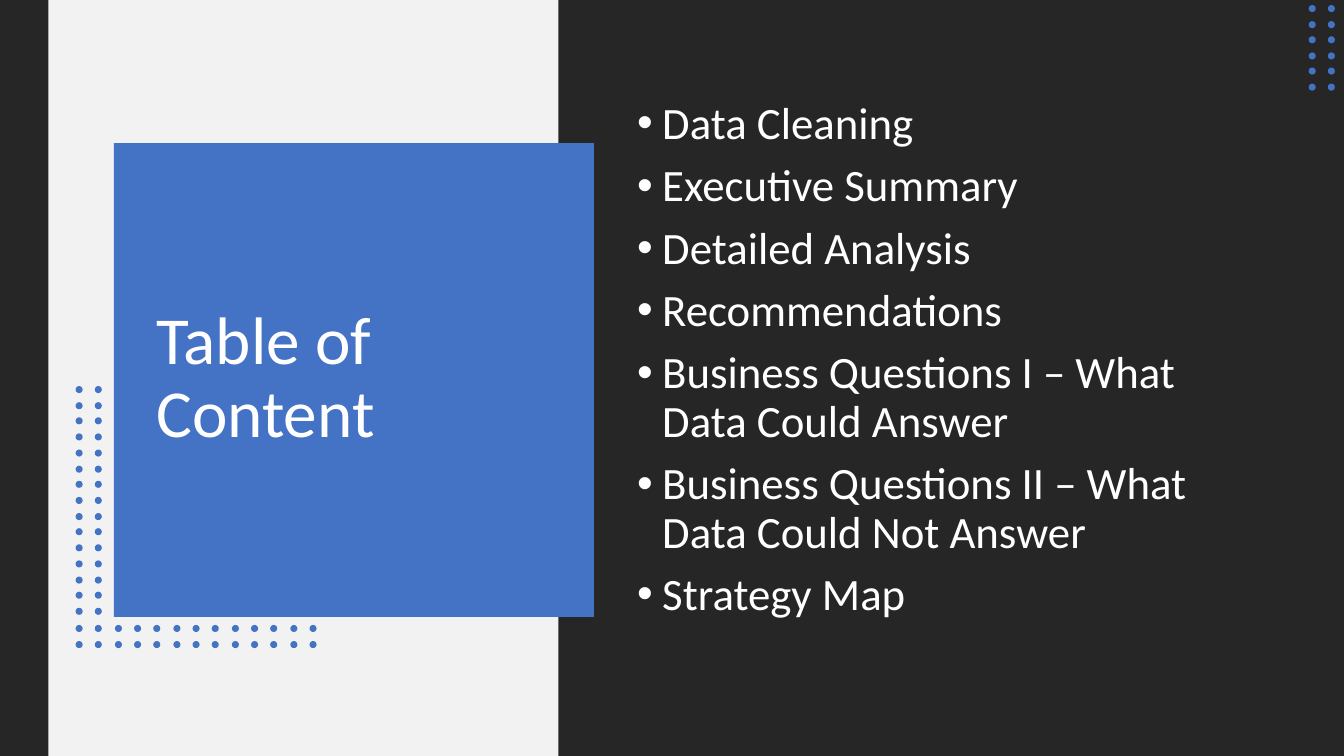
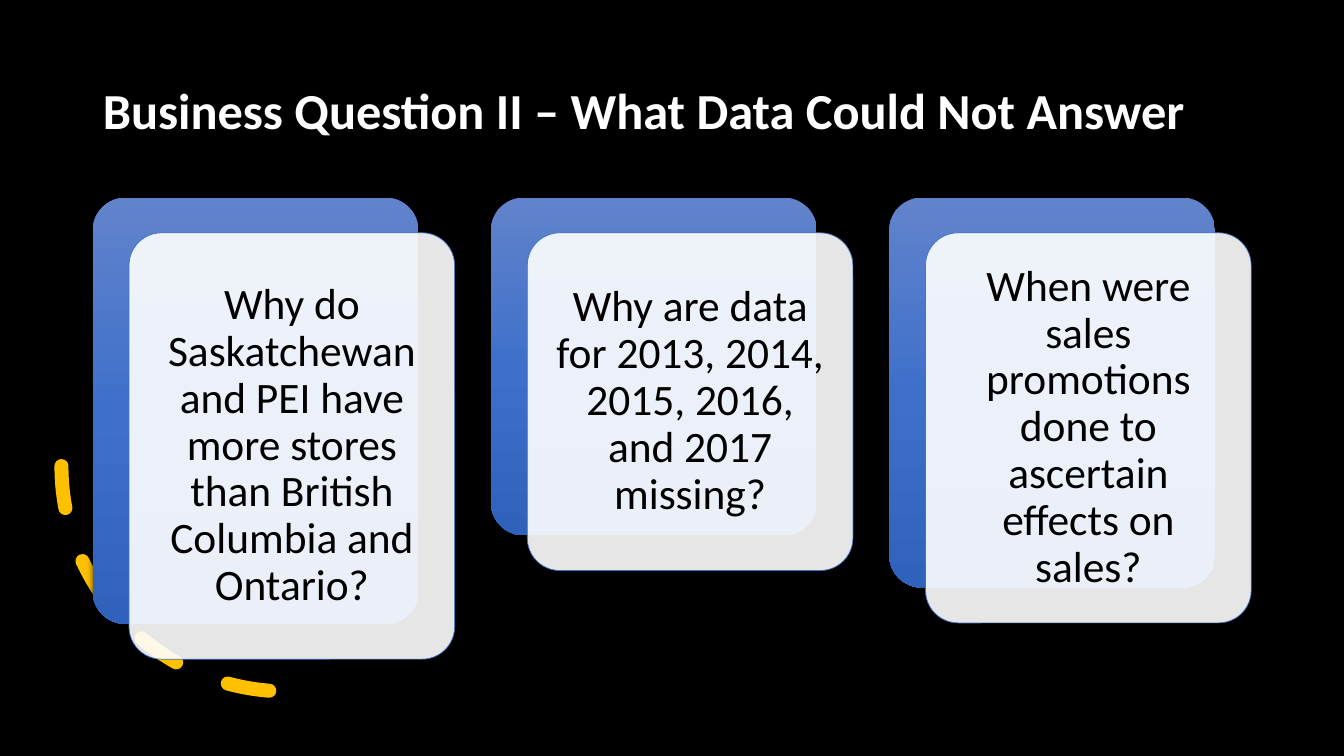
"""Build a table of contents slide and a slide of open business questions."""
from copy import deepcopy

from lxml import etree
from pptx import Presentation
from pptx.dml.color import RGBColor
from pptx.enum.dml import MSO_LINE
from pptx.enum.shapes import MSO_SHAPE
from pptx.enum.text import MSO_ANCHOR, MSO_AUTO_SIZE, PP_ALIGN
from pptx.oxml.ns import qn
from pptx.util import Emu, Pt

RECTANGLE, ROUNDED = MSO_SHAPE.RECTANGLE, MSO_SHAPE.ROUNDED_RECTANGLE
OVAL, ARC = MSO_SHAPE.OVAL, MSO_SHAPE.ARC
MIDDLE, NO_FIT = MSO_ANCHOR.MIDDLE, MSO_AUTO_SIZE.NONE
LEFT, CENTER = PP_ALIGN.LEFT, PP_ALIGN.CENTER
DASH = MSO_LINE.DASH

PX = 9144
PAGE_WIDTH, PAGE_HEIGHT = 1333, 750
TITLE_ONLY = 5
FONT = "Calibri"
WHITE, BLACK, CHARCOAL, PALE = "FFFFFF", "000000", "262626", "F2F2F2"
BLUE, AMBER = "4472C4", "FFC000"
CARD_GRADIENT = ((0, "6183CB"), (0.5, "3E70CA"), (1, "3062BB"))

FRAME_FORMAT = {"word_wrap": True, "auto_size": NO_FIT, "vertical_anchor": MIDDLE}
CARD_MARGINS = dict.fromkeys(
    ("margin_left", "margin_top", "margin_right", "margin_bottom"), Emu(13 * PX))

CONTENTS = (
    "Data Cleaning",
    "Executive Summary",
    "Detailed Analysis",
    "Recommendations",
    "Business Questions I – What Data Could Answer",
    "Business Questions II – What Data Could Not Answer",
    "Strategy Map",
)
QUESTIONS = (
    ("Why do Saskatchewan and PEI have more stores than British Columbia and Ontario?", 423),
    ("Why are data for 2013, 2014, 2015, 2016, and 2017 missing?", 335),
    ("When were sales promotions done to ascertain effects on sales?", 387),
)


def color(value):
    """Turn a hex string into a colour."""
    return RGBColor.from_string(value)


def scaled(box):
    """Turn a box in px into EMU lengths."""
    return [Emu(length * PX) for length in box]


def apply_format(target, values):
    """Set each named attribute on the target."""
    for name, value in values.items():
        setattr(target, name, value)


def add_child(parent, tag, **attributes):
    """Append an XML element with the given attributes."""
    child = etree.SubElement(parent, qn(tag))
    for name, value in attributes.items():
        child.set(name, str(value))
    return child


def add_plain_shape(shapes, kind, box, fill=None):
    """Add a preset shape with no shadow, no line and an optional solid fill."""
    shape = shapes.add_shape(kind, *scaled(box))
    shape.shadow.inherit = False
    shape.line.fill.background()
    if fill:
        shape.fill.solid()
        shape.fill.fore_color.rgb = color(fill)
    else:
        shape.fill.background()
    return shape


def write_text(frame, texts, size, ink, bold=False, frame_format=None, para_format=None):
    """Write one formatted paragraph for each text."""
    apply_format(frame, {**FRAME_FORMAT, **(frame_format or {})})
    for index, text in enumerate(texts):
        para = frame.add_paragraph() if index else frame.paragraphs[0]
        apply_format(para, {"line_spacing": 0.9, "alignment": LEFT, **(para_format or {})})
        span = para.add_run()
        span.text = text
        apply_format(span.font, {"name": FONT, "size": Pt(size), "bold": bold})
        span.font.color.rgb = color(ink)


def add_page(deck, background):
    """Add a title-only slide with a solid background."""
    page = deck.slides.add_slide(deck.slide_layouts[TITLE_ONLY])
    page.background.fill.solid()
    page.background.fill.fore_color.rgb = color(background)
    return page


def place_title(page, box, text, size, bold=False):
    """Move the title placeholder above the shapes so far and fill it."""
    title = page.shapes.title
    names = ("left", "top", "width", "height")
    apply_format(title, dict(zip(names, scaled(box))))
    write_text(title.text_frame, [text], size, WHITE, bold)
    page.shapes.element.append(title.element)


def add_dots(page, box, columns, rows):
    """Spread a grid of dots evenly over the box."""
    left, top, width, height = box
    diameter = 7
    column_step = (width - diameter) / (columns - 1)
    row_step = (height - diameter) / (rows - 1)
    group = page.shapes.add_group_shape()
    for row in range(rows):
        for column in range(columns):
            spot = (round(left + column * column_step), round(top + row * row_step),
                    diameter, diameter)
            add_plain_shape(group.shapes, OVAL, spot, BLUE)


def add_bullets(page, box, texts):
    """Add a bulleted list in the box."""
    frame = page.shapes.add_textbox(*scaled(box)).text_frame
    write_text(frame, texts, 32, WHITE, para_format={"space_before": Pt(10)})
    for para in frame.paragraphs:
        properties = para._p.get_or_add_pPr()
        properties.set("marL", str(25 * PX))
        properties.set("indent", str(-25 * PX))
        add_child(properties, "a:buFont", typeface="Arial")
        add_child(properties, "a:buChar", char="•")


def add_dashed_arc(page, box):
    """Add a dashed quarter circle along the lower left of the box."""
    arc = add_plain_shape(page.shapes, ARC, box)
    arc.rotation = 90
    arc.element.spPr.find(qn("a:xfrm")).set("flipV", "1")
    arc.line.color.rgb = color(AMBER)
    apply_format(arc.line, {"width": Pt(10), "dash_style": DASH})
    arc.element.spPr.find(qn("a:ln")).set("cap", "rnd")


def add_card_back(page, box):
    """Add the shaded blue back of a card."""
    back = add_plain_shape(page.shapes, ROUNDED, box)
    back.adjustments[0] = 0.1
    back.fill.gradient()
    back.fill.gradient_angle = 270
    stops = back.element.spPr.find(".//" + qn("a:gsLst"))
    stops.insert(1, deepcopy(stops[0]))
    for stop, (position, value) in zip(back.fill.gradient_stops, CARD_GRADIENT):
        stop.position = position
        stop.color.rgb = color(value)
    effects = back.element.spPr.find(qn("a:effectLst"))
    shadow = add_child(effects, "a:outerShdw", blurRad=Pt(4.5), dist=Pt(1.5),
                       dir=5400000, algn="ctr", rotWithShape=0)
    shade = add_child(shadow, "a:srgbClr", val=BLACK)
    add_child(shade, "a:alpha", val=63000)


def add_card(page, box, text):
    """Add a translucent text panel offset from its blue back."""
    left, top, width, height = box
    add_card_back(page, box)
    panel = add_plain_shape(page.shapes, ROUNDED, (left + 36, top + 35, width, height), WHITE)
    panel.adjustments[0] = 0.1
    panel.line.color.rgb = color(BLUE)
    panel.line.width = Pt(0.5)
    tint = panel.element.spPr.find(qn("a:solidFill")).find(qn("a:srgbClr"))
    add_child(tint, "a:alpha", val=90000)
    write_text(panel.text_frame, [text], 31, BLACK,
               frame_format=CARD_MARGINS, para_format={"alignment": CENTER})


def add_cards(page, box, gap):
    """Set the question cards side by side in the box."""
    left, top, width = box
    card_width = (width - gap * (len(QUESTIONS) - 1)) // len(QUESTIONS)
    for index, (text, height) in enumerate(QUESTIONS):
        add_card(page, (left + index * (card_width + gap), top, card_width, height), text)


def build_contents(deck):
    """Build the table of contents slide."""
    page = add_page(deck, CHARCOAL)
    add_plain_shape(page.shapes, RECTANGLE, (48, 0, 506, PAGE_HEIGHT), PALE)
    add_plain_shape(page.shapes, RECTANGLE, (113, 142, 476, 470), BLUE)
    place_title(page, (145, 174, 410, 405), "Table of Content", 48)
    add_dots(page, (1298, 5, 26, 85), columns=2, rows=6)
    add_dots(page, (75, 383, 26, 227), columns=2, rows=15)
    add_dots(page, (75, 620, 239, 23), columns=13, rows=2)
    add_bullets(page, (622, 97, 636, 521), CONTENTS)


def build_questions(deck):
    """Build the slide of questions the data could not answer."""
    page = add_page(deck, BLACK)
    place_title(page, (92, 40, 1150, 145),
                "Business Question II – What Data Could Not Answer", 36, bold=True)
    add_dashed_arc(page, (61, 239, 447, 447))
    add_cards(page, (92, 196, 1113), gap=72)


def main():
    """Build and save the deck."""
    deck = Presentation()
    deck.slide_width, deck.slide_height = scaled((PAGE_WIDTH, PAGE_HEIGHT))
    build_contents(deck)
    build_questions(deck)
    deck.save("out.pptx")


if __name__ == "__main__":
    main()
